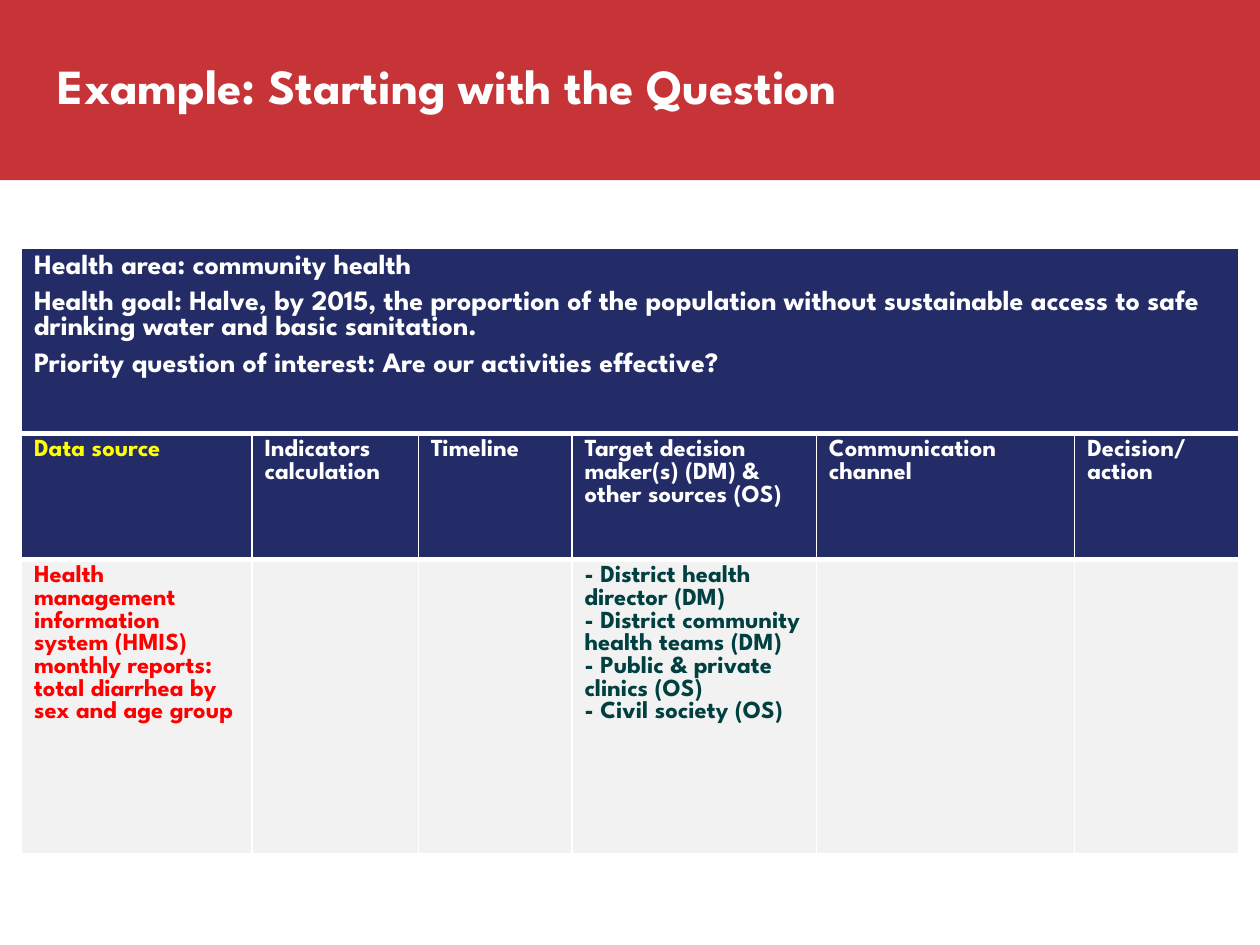
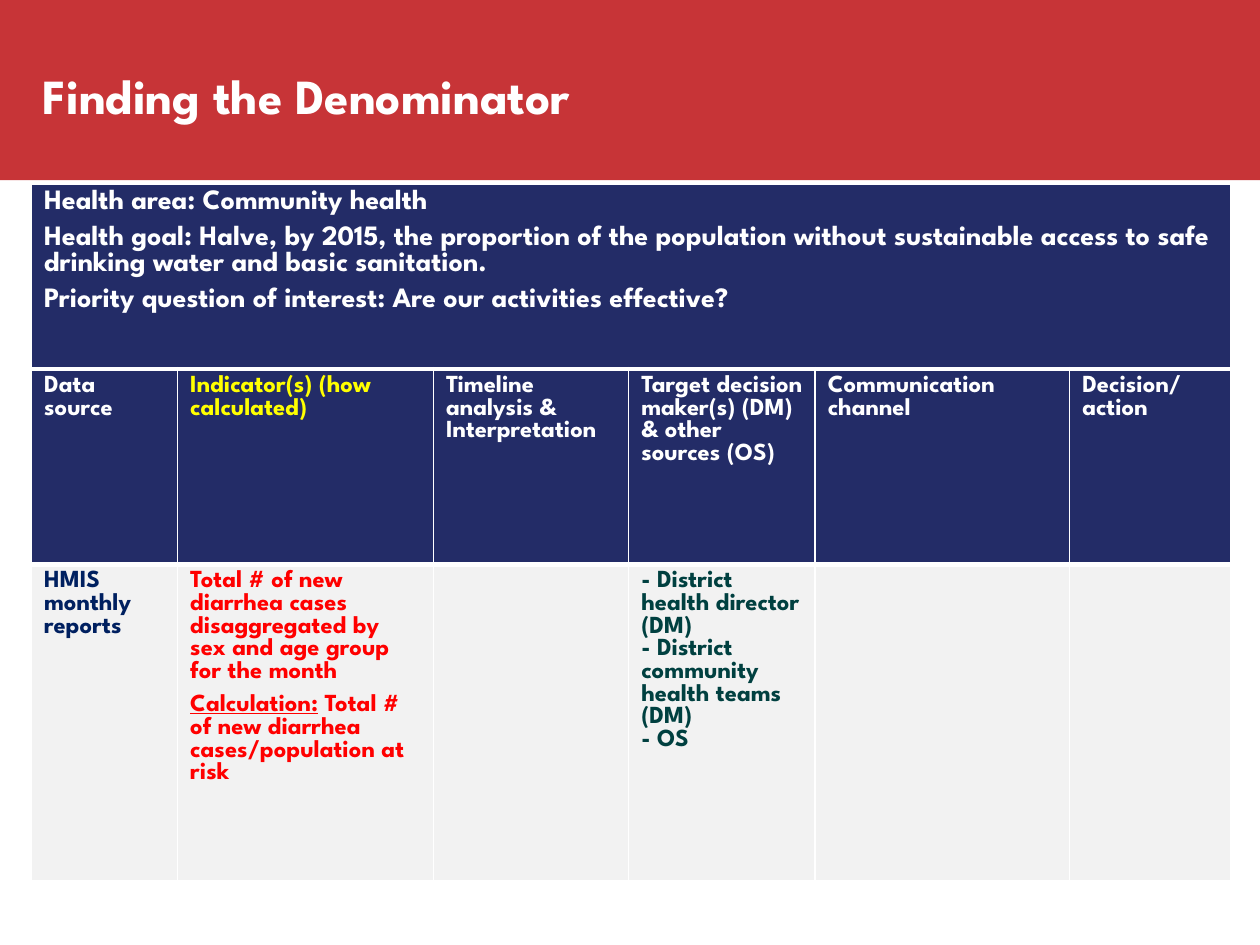
from lxml import etree
from pptx import Presentation
from pptx.dml.color import RGBColor
from pptx.enum.shapes import MSO_SHAPE
from pptx.enum.text import MSO_ANCHOR, MSO_AUTO_SIZE, PP_ALIGN
from pptx.oxml.ns import qn
from pptx.util import Pt

PX = 9144
FONT = "League Spartan"
RECT = MSO_SHAPE.RECTANGLE
MIDDLE = MSO_ANCHOR.MIDDLE
NO_FIT = MSO_AUTO_SIZE.NONE
LEFT = PP_ALIGN.LEFT

WHITE = RGBColor(0xFF, 0xFF, 0xFF)
BAND_RED = RGBColor(0xC7, 0x34, 0x37)
NAVY = RGBColor(0x23, 0x2C, 0x67)
GREY = RGBColor(0xF2, 0xF2, 0xF2)
YELLOW = RGBColor(0xFF, 0xFF, 0x00)
RED = RGBColor(0xFF, 0x00, 0x00)
TEAL = RGBColor(0x00, 0x40, 0x40)
DARK_BLUE = RGBColor(0x00, 0x20, 0x60)

GOAL = ("Health goal: Halve, by 2015, the proportion of the population without "
        "sustainable access to safe drinking water and basic sanitation.")
QUESTION = "Priority question of interest: Are our activities effective?"
DECISION_MAKERS = "Target decision maker(s) (DM) & other sources (OS)"
CHANNEL = "Communication channel"
ACTION = "Decision/ action"
DIRECTOR = "- District health director (DM)"
TEAMS = "- District community health teams (DM)"


class Deck:
    def __init__(self):
        self.prs = Presentation()
        self.prs.slide_width = 1000 * PX
        self.prs.slide_height = 750 * PX
        self.s = None

    def slide(self):
        self.s = self.prs.slides.add_slide(self.prs.slide_layouts[5])
        self.band()

    def band(self):
        sp = self.s.shapes.add_shape(RECT, 0, 0, 1000 * PX, 143 * PX)
        sp.shadow.inherit = False
        sp.fill.solid()
        sp.fill.fore_color.rgb = BAND_RED
        sp.line.fill.background()
        sp.element.addnext(self.s.shapes.title.element)

    def add_text(self, tf, paragraphs, size, color, space_after=0):
        for i, runs in enumerate(paragraphs):
            p = tf.add_paragraph() if i else tf.paragraphs[0]
            p.alignment = LEFT
            p.space_after = Pt(space_after)
            if isinstance(runs, str):
                runs = [(runs, {})]
            for text, extra in runs:
                r = p.add_run()
                r.text = text
                fmt = {"name": FONT, "size": Pt(size), "bold": True, **extra}
                for key, value in fmt.items():
                    setattr(r.font, key, value)
                r.font.color.rgb = color

    def title(self, text, box):
        sp = self.s.shapes.title
        for key, value in zip(("left", "top", "width", "height"), box):
            setattr(sp, key, value * PX)
        tf = sp.text_frame
        fmt = {"word_wrap": True, "auto_size": NO_FIT, "vertical_anchor": MIDDLE}
        for key, value in fmt.items():
            setattr(tf, key, value)
        self.add_text(tf, [text], 28, WHITE)

    def style_cell(self, cell, fill, top):
        tc_pr = cell._tc.get_or_add_tcPr()
        for side, width in {"L": 1, "R": 1, "T": top, "B": 3}.items():
            ln = etree.SubElement(tc_pr, qn(f"a:ln{side}"), w=str(Pt(width)))
            solid = etree.SubElement(ln, qn("a:solidFill"))
            etree.SubElement(solid, qn("a:srgbClr"), val=str(WHITE))
        cell.fill.solid()
        cell.fill.fore_color.rgb = fill

    def table(self, left, top, widths, heights, intro, headers, highlight, body):
        frame = self.s.shapes.add_table(
            len(heights), len(widths), left * PX, top * PX,
            sum(widths) * PX, sum(heights) * PX)
        table = frame.table
        table.first_row = table.horz_banding = False
        for column, width in zip(table.columns, widths):
            column.width = width * PX
        for row, height in zip(table.rows, heights):
            row.height = height * PX
        for i, (fill, border) in enumerate([(NAVY, 1), (NAVY, 3), (GREY, 3)]):
            for cell in table.rows[i].cells:
                self.style_cell(cell, fill, border)
        table.cell(0, 0).merge(table.cell(0, len(widths) - 1))
        self.add_text(table.cell(0, 0).text_frame, intro, 16, WHITE, 6)
        for i, paragraphs in enumerate(headers):
            color = YELLOW if i == highlight else WHITE
            self.add_text(table.cell(1, i).text_frame, paragraphs, 14, color)
        for i, (paragraphs, color, space_after) in body.items():
            self.add_text(table.cell(2, i).text_frame, paragraphs, 14, color, space_after)


def question_slide(deck):
    deck.slide()
    deck.title("Example: Starting with the Question", (36, 17, 849, 100))
    source = ("Health management information system (HMIS) monthly reports: "
              "total diarrhea by sex and age group")
    deck.table(
        17, 197, [183, 132, 122, 194, 205, 130], [147, 100, 235],
        ["Health area: community health", GOAL, QUESTION],
        [["Data source"], ["Indicators", "calculation"], ["Timeline"],
         [DECISION_MAKERS], [CHANNEL], [ACTION]],
        0,
        {0: ([source], RED, 0),
         3: ([DIRECTOR, TEAMS, "- Public & private clinics (OS)",
              "- Civil society (OS)"], TEAL, 0)})


def denominator_slide(deck):
    deck.slide()
    deck.title("Finding the Denominator", (24, 47, 887, 57))
    cases = ("Total # of new diarrhea cases disaggregated by sex and age group "
             "for the month")
    calculation = [("Calculation:", {"underline": True}),
                   (" Total # of new diarrhea cases/population at risk", {})]
    deck.table(
        25, 146, [116, 203, 155, 148, 202, 128], [147, 155, 252],
        ["Health area: Community health", GOAL, QUESTION],
        [["Data source"], ["Indicator(s) (how calculated)"],
         ["Timeline analysis & Interpretation"],
         [DECISION_MAKERS], [CHANNEL], [ACTION]],
        1,
        {0: (["HMIS monthly reports"], DARK_BLUE, 0),
         1: ([cases, calculation], RED, 6),
         3: ([DIRECTOR, TEAMS, "- OS"], TEAL, 0)})


def main():
    deck = Deck()
    question_slide(deck)
    denominator_slide(deck)
    deck.prs.save("out.pptx")


if __name__ == "__main__":
    main()
